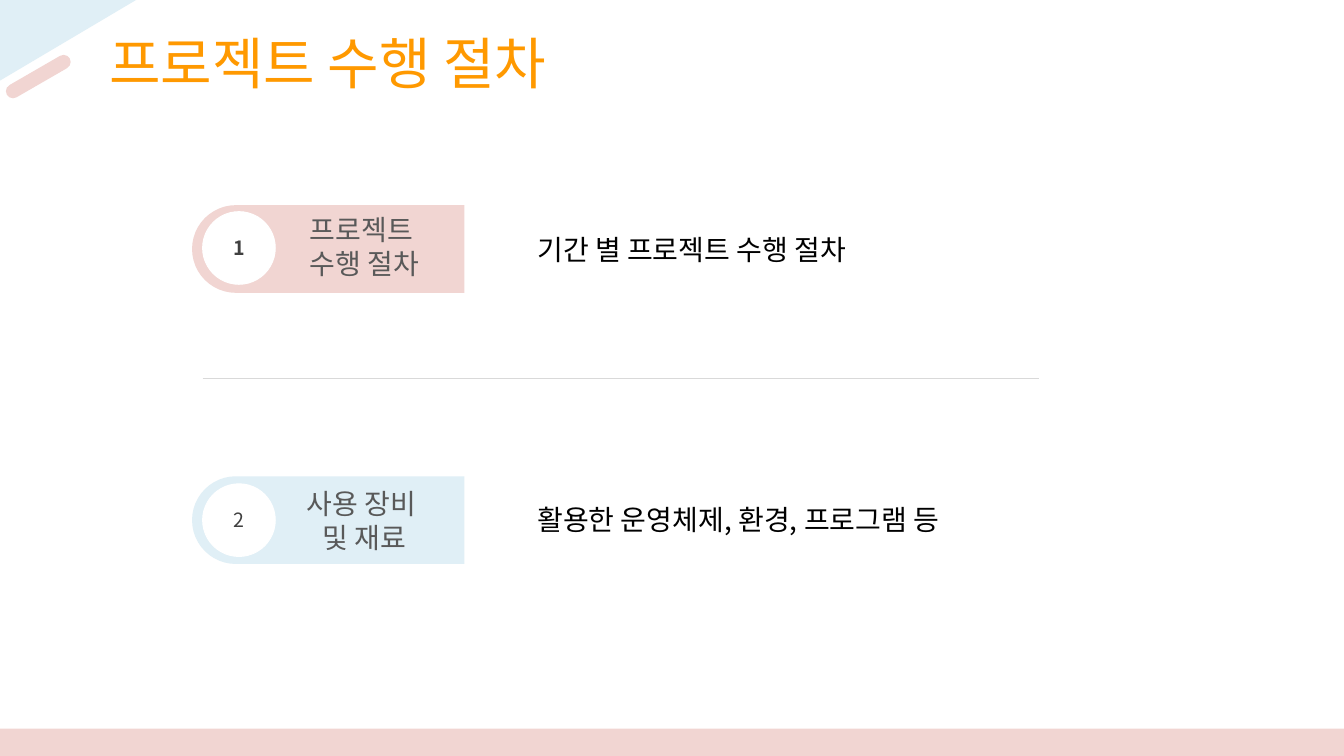
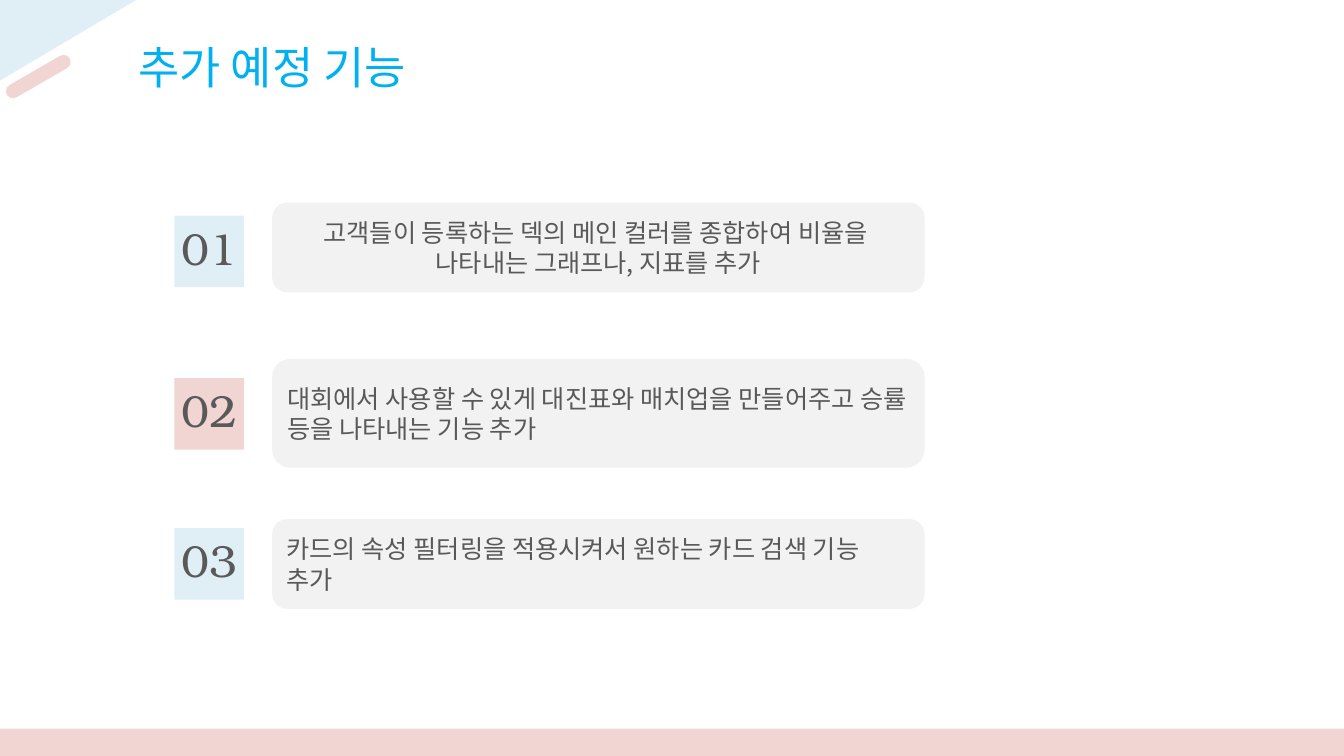
"""Build two slides: the project procedure and the planned features."""
from pptx import Presentation
from pptx.dml.color import RGBColor
from pptx.enum.shapes import MSO_CONNECTOR, MSO_SHAPE
from pptx.enum.text import MSO_ANCHOR, PP_ALIGN
from pptx.oxml.ns import qn
from pptx.util import Inches, Pt
from lxml import etree

BLUE = RGBColor(0xE0, 0xEF, 0xF6)
PINK = RGBColor(0xF1, 0xD5, 0xD2)
WHITE = RGBColor(0xFF, 0xFF, 0xFF)
BLACK = RGBColor(0x00, 0x00, 0x00)
PALE_GRAY = RGBColor(0xF2, 0xF2, 0xF2)
LINE_GRAY = RGBColor(0xD9, 0xD9, 0xD9)
TEXT_GRAY = RGBColor(0x59, 0x59, 0x59)
NUMBER_GRAY = RGBColor(0x40, 0x40, 0x40)
ORANGE = RGBColor(0xFF, 0x99, 0x00)
SKY = RGBColor(0x00, 0xB0, 0xF0)
KOREAN = "Noto Sans CJK KR"
CHINESE = "Noto Sans CJK SC"
SERIF = "TeX Gyre Bonum"


def add_block(page, kind, left, top, width, height, fill=None):
    """Add a filled shape without outline, or a text box when kind is None."""
    place = [Inches(value) for value in (left, top, width, height)]
    if kind is None:
        return page.shapes.add_textbox(*place)
    block = page.shapes.add_shape(kind, *place)
    block.shadow.inherit = False
    block.fill.solid()
    block.fill.fore_color.rgb = fill
    block.line.fill.background()
    return block


def write(block, text, size, font, color, align=PP_ALIGN.LEFT,
          anchor=MSO_ANCHOR.TOP, bold=False, spacing=None, wrap=True):
    """Fill a block with uniformly formatted paragraphs."""
    frame = block.text_frame
    frame.word_wrap = wrap
    frame.vertical_anchor = anchor
    frame.text = text
    for para in frame.paragraphs:
        para.alignment = align
        if spacing:
            para.line_spacing = spacing
        for span in para.runs:
            span.font.size = Pt(size)
            span.font.bold = bold
            span.font.color.rgb = color
            span.font.name = font
            east_asian = etree.Element(qn("a:ea"), typeface=font)
            span.font._element.find(qn("a:latin")).addnext(east_asian)


deck = Presentation()
deck.slide_width = Inches(13.33)
deck.slide_height = Inches(7.5)

titles = [
    ("프로젝트 수행 절차", 0.18, 0.23, 6.14, 40, ORANGE),
    ("추가 예정 기능", 0.2, 0.34, 5, 32, SKY),
]
pages = []
for text, left, top, width, size, color in titles:
    page = deck.slides.add_slide(deck.slide_layouts[6])
    pages.append(page)
    outline = page.shapes.build_freeform(0, 0)
    outline.add_line_segments([(Inches(1.35), 0), (0, Inches(0.8))], close=True)
    corner = outline.convert_to_shape()
    corner.shadow.inherit = False
    corner.fill.solid()
    corner.fill.fore_color.rgb = BLUE
    corner.line.fill.background()
    add_block(page, MSO_SHAPE.RECTANGLE, 0, 7.23, 13.33, 0.27, PINK)
    stroke = add_block(page, MSO_SHAPE.ROUNDED_RECTANGLE, 0.02, 0.69, 0.72, 0.14, PINK)
    stroke.adjustments[0] = 0.5
    stroke.rotation = 330
    title = add_block(page, None, left, top, width, 1.21)
    write(title, text, size, KOREAN, color, PP_ALIGN.CENTER)

procedure, features = pages

steps = [
    ("1", "프로젝트 \n수행 절차", "기간 별 프로젝트 수행 절차", PINK, True, 1.12, 2.1, 2.06, 2.19),
    ("2", "사용 장비 \n및 재료", "활용한 운영체제, 환경, 프로그램 등", BLUE, False, 3.81, 4.8, 4.78, 4.87),
]
for number, label, detail, color, bold, tab_top, disc_top, label_top, detail_top in steps:
    tab = add_block(procedure, MSO_SHAPE.ROUND_2_SAME_RECTANGLE, 2.82, tab_top, 0.87, 2.7, color)
    tab.adjustments[0] = 0.5
    tab.adjustments[1] = 0
    tab.rotation = 270
    disc = add_block(procedure, MSO_SHAPE.OVAL, 2.01, disc_top, 0.72, 0.72, WHITE)
    disc.line.color.rgb = WHITE
    disc.line.width = Pt(0.75)
    frame = disc.text_frame
    frame.margin_left = frame.margin_right = frame.margin_top = frame.margin_bottom = 0
    write(disc, number, 14, KOREAN, NUMBER_GRAY, PP_ALIGN.CENTER, MSO_ANCHOR.MIDDLE, bold)
    label_box = add_block(procedure, None, 2.37, label_top, 2.49, 0.61)
    write(label_box, label, 20, CHINESE, TEXT_GRAY, PP_ALIGN.CENTER)
    detail_box = add_block(procedure, None, 5.23, detail_top, 5.52, 0.57)
    write(detail_box, detail, 20, CHINESE, BLACK, spacing=1.2)

divider = procedure.shapes.add_connector(
    MSO_CONNECTOR.STRAIGHT, Inches(2.01), Inches(3.75), Inches(10.31), Inches(3.75))
divider.line.color.rgb = LINE_GRAY
divider.line.width = Pt(0.5)
etree.SubElement(divider._element.spPr, qn("a:effectLst"))

plans = [
    ("고객들이 등록하는 덱의 메인 컬러를 종합하여 비율을 \n나타내는 그래프나, 지표를 추가",
     PP_ALIGN.CENTER, BLUE, 2.14, 2.01, 0.89),
    ("대회에서 사용할 수 있게 대진표와 매치업을 만들어주고 승률 등을 나타내는 기능 추가",
     PP_ALIGN.LEFT, PINK, 3.75, 3.56, 1.08),
    ("카드의 속성 필터링을 적용시켜서 원하는 카드 검색 기능 추가",
     PP_ALIGN.LEFT, BLUE, 5.24, 5.15, 0.89),
]
for index, (text, align, color, number_top, panel_top, panel_height) in enumerate(plans, 1):
    panel = add_block(features, MSO_SHAPE.ROUNDED_RECTANGLE, 2.7, panel_top, 6.47, panel_height, PALE_GRAY)
    write(panel, text, 18, KOREAN, TEXT_GRAY, align, MSO_ANCHOR.MIDDLE)
    number_box = add_block(features, MSO_SHAPE.RECTANGLE, 1.73, number_top, 0.69, 0.71, color)
    write(number_box, f"{index:02}", 32, SERIF, TEXT_GRAY, PP_ALIGN.CENTER, wrap=False)

deck.save("out.pptx")
